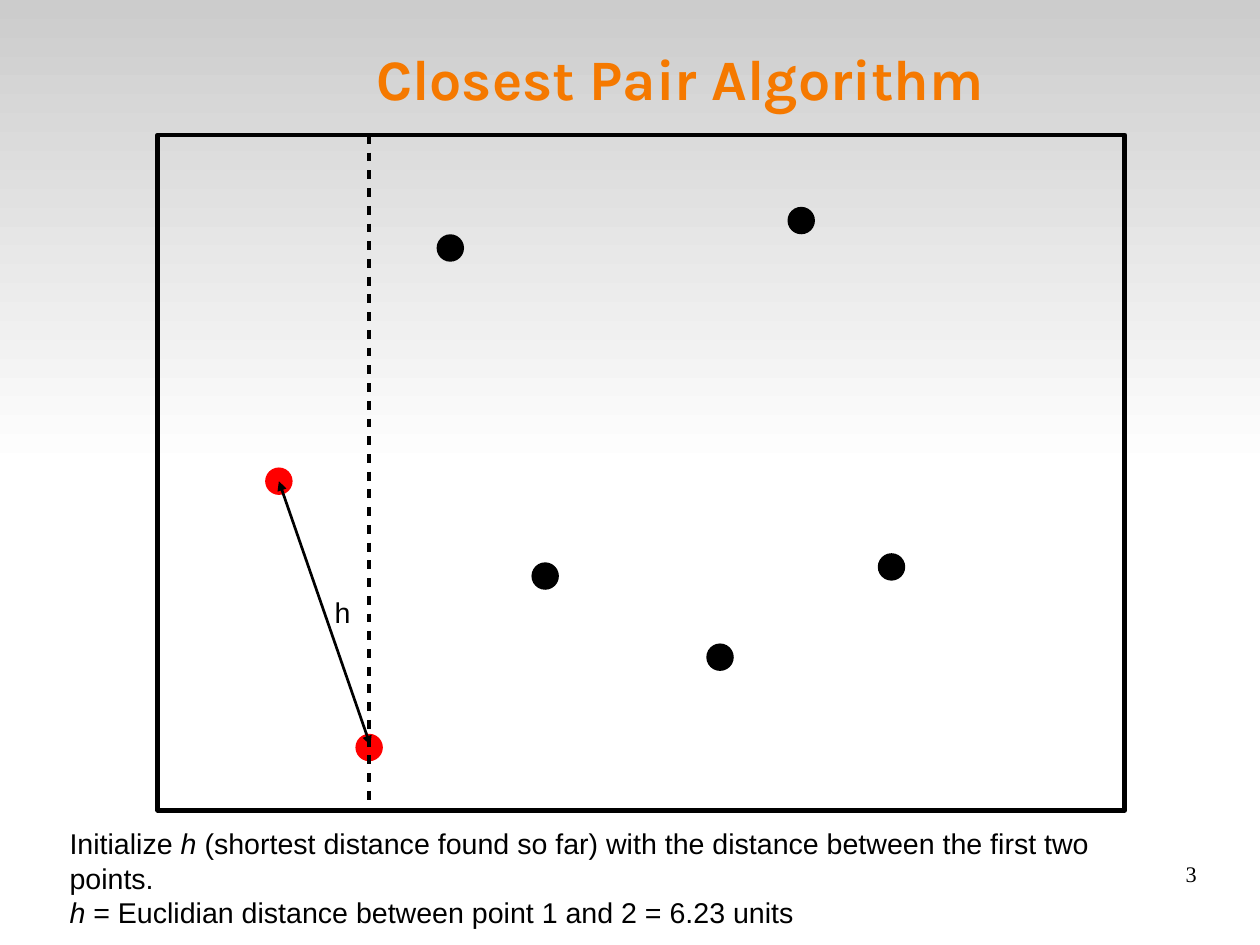
from pptx import Presentation
from pptx.dml.color import RGBColor
from pptx.enum.shapes import MSO_CONNECTOR, MSO_SHAPE
from pptx.enum.text import MSO_ANCHOR, PP_ALIGN
from pptx.oxml.ns import qn
from pptx.util import Inches, Pt
from lxml import etree

RECTANGLE, OVAL = MSO_SHAPE.RECTANGLE, MSO_SHAPE.OVAL
STRAIGHT = MSO_CONNECTOR.STRAIGHT
TOP, MIDDLE = MSO_ANCHOR.TOP, MSO_ANCHOR.MIDDLE
LEFT, CENTER, RIGHT = PP_ALIGN.LEFT, PP_ALIGN.CENTER, PP_ALIGN.RIGHT

BLACK = RGBColor(0x00, 0x00, 0x00)
WHITE = RGBColor(0xFF, 0xFF, 0xFF)
GRAY = RGBColor(0xCC, 0xCC, 0xCC)
RED = RGBColor(0xFF, 0x00, 0x00)
ORANGE = RGBColor(0xF5, 0x79, 0x00)

TITLE = {"name": "Karla", "size": Pt(36), "bold": True}
BODY = {"name": "Arial", "size": Pt(18)}
NUMBER = {"name": "Times New Roman", "size": Pt(14)}

DOT_SIZE = 0.24

# A page of 28 by 21 centimetres
deck = Presentation()
deck.slide_width = Inches(28 / 2.54)
deck.slide_height = Inches(21 / 2.54)
page = deck.slides.add_slide(deck.slide_layouts[6])


def add_text(place, paragraphs, style, color=BLACK, align=LEFT, anchor=TOP, insets=(0, 0)):
    """Add a text box; each paragraph is a list of (text, italic) spans."""
    box = page.shapes.add_textbox(*map(Inches, place))
    frame = box.text_frame
    frame.word_wrap = True
    frame.vertical_anchor = anchor
    frame.margin_left = frame.margin_right = Inches(insets[0])
    frame.margin_top = frame.margin_bottom = Inches(insets[1])
    for index, spans in enumerate(paragraphs):
        para = frame.add_paragraph() if index else frame.paragraphs[0]
        para.alignment = align
        for text, italic in spans:
            span = para.add_run()
            span.text = text
            for attribute, value in style.items():
                setattr(span.font, attribute, value)
            span.font.italic = italic
            span.font.color.rgb = color


def add_line(start, end, width):
    """Add a black straight line and return its line properties element."""
    connector = page.shapes.add_connector(STRAIGHT, *map(Inches, (*start, *end)))
    connector.line.color.rgb = BLACK
    connector.line.width = Pt(width)
    properties = connector.element.spPr
    etree.SubElement(properties, qn("a:effectLst"))
    return properties.find(qn("a:ln"))


# Gradient band behind the upper half
band = page.shapes.add_shape(RECTANGLE, 0, 0, deck.slide_width, Inches(4.13))
band.shadow.inherit = False
band.line.fill.background()
band.fill.gradient()
band.fill.gradient_angle = 270
for stop, color in zip(band.fill.gradient_stops, (GRAY, WHITE)):
    stop.color.rgb = color

# Title
add_text((2.09, 0.25, 7.72, 0.85), [[("Closest Pair Algorithm", False)]],
         TITLE, ORANGE, CENTER, MIDDLE)

# Points, given by their top left corners; the first two are the compared pair
pair = [(2.32, 4.09), (3.11, 6.42)]
other_points = [(4.65, 4.92), (6.18, 5.63), (6.89, 1.81), (7.68, 4.84), (3.82, 2.05)]
for point in pair + other_points:
    dot = page.shapes.add_shape(OVAL, *map(Inches, (*point, DOT_SIZE, DOT_SIZE)))
    dot.shadow.inherit = False
    dot.fill.solid()
    dot.fill.fore_color.rgb = RED if point in pair else BLACK
    dot.line.fill.background()

# Distance arrow and its label
arrow = add_line((2.44, 4.21), (3.24, 6.52), 1.7)
for end in ("a:headEnd", "a:tailEnd"):
    etree.SubElement(arrow, qn(end), type="triangle")
add_text((2.83, 5.16, 0.39, 0.38), [[("h", False)]], BODY, insets=(0.1, 0.05))

# Explanation
add_text((0.51, 7.18, 9.92, 0.94), [
    [("Initialize ", False), ("h", True),
     (" (shortest distance found so far) with the distance between the first two points.", False)],
    [("h", True), (" = Euclidian distance between point 1 and 2 = 6.23 units", False)],
], BODY, insets=(0.1, 0.05))

# Frame around the plane
plane = page.shapes.add_shape(RECTANGLE, *map(Inches, (1.38, 1.18, 8.46, 5.91)))
plane.shadow.inherit = False
plane.fill.background()
plane.line.color.rgb = BLACK
plane.line.width = Pt(2.83)

# Dashed sweep line
sweep = add_line((3.23, 1.18), (3.23, 7.09), 2.83)
dashes = etree.SubElement(sweep, qn("a:custDash"))
etree.SubElement(dashes, qn("a:ds"), d="197000", sp="197000")

# Page number
add_text((7.9, 7.53, 2.57, 0.57), [[("3", False)]], NUMBER, align=RIGHT)

deck.save("out.pptx")
